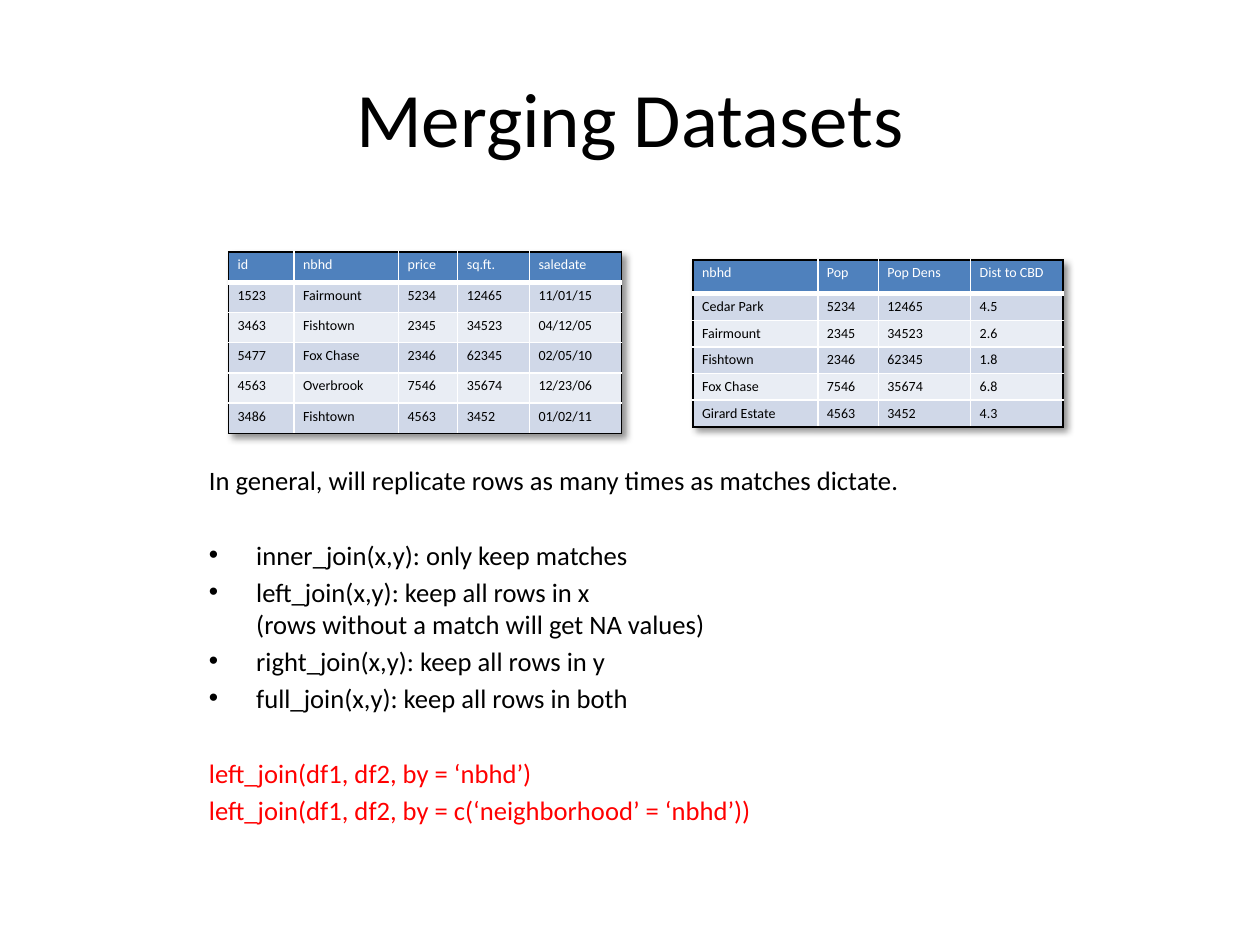
from dataclasses import dataclass

import lxml.etree
import pptx
import pptx.dml.color
import pptx.enum.text
import pptx.oxml.ns
import pptx.util

Pt = pptx.util.Pt
Align = pptx.enum.text.PP_ALIGN
Anchor = pptx.enum.text.MSO_ANCHOR


@dataclass(frozen=True)
class Theme:
    font: str = "Calibri"
    title_size: float = 44
    body_size: float = 15.2
    table_size: float = 8
    black: str = "000000"
    white: str = "FFFFFF"
    code: str = "FF0000"
    header: str = "4F81BD"
    bands: tuple[str, str] = ("D0D8E8", "E9EDF4")


@dataclass(frozen=True)
class Dataset:
    left: float
    top: float
    columns: tuple[float, ...]
    header_height: float
    row_height: float
    rows: tuple[str, ...]


@dataclass(frozen=True)
class Line:
    text: str
    bullet: bool = False
    color: str = "000000"
    before: float = 3


THEME = Theme()
GAP = 24.5
INDENT = 27

DATASETS = (
    Dataset(130.6, 144, (37.4, 59.8, 33.8, 41, 52.6), 17.28, 17.28, (
        "id|nbhd|price|sq.ft.|saledate",
        "1523|Fairmount|5234|12465|11/01/15",
        "3463|Fishtown|2345|34523|04/12/05",
        "5477|Fox Chase|2346|62345|02/05/10",
        "4563|Overbrook|7546|35674|12/23/06",
        "3486|Fishtown|4563|3452|01/02/11")),
    Dataset(396, 148.5, (71.3, 34.6, 52.8, 52.8), 19.4, 15.2, (
        "nbhd|Pop|Pop Dens|Dist to CBD",
        "Cedar Park|5234|12465|4.5",
        "Fairmount|2345|34523|2.6",
        "Fishtown|2346|62345|1.8",
        "Fox Chase|7546|35674|6.8",
        "Girard Estate|4563|3452|4.3")),
)

LINES = (
    Line("In general, will replicate rows as many times as matches dictate.", before=0),
    Line("inner_join(x,y): only keep matches", bullet=True, before=GAP),
    Line("left_join(x,y): keep all rows in x\v(rows without a match will get NA values)",
         bullet=True),
    Line("right_join(x,y): keep all rows in y", bullet=True),
    Line("full_join(x,y): keep all rows in both", bullet=True),
    Line("left_join(df1, df2, by = ‘nbhd’)", color=THEME.code, before=GAP),
    Line("left_join(df1, df2, by = c(‘neighborhood’ = ‘nbhd’))", color=THEME.code),
)


def add_element(parent, tag: str, **attributes):
    return lxml.etree.SubElement(parent, pptx.oxml.ns.qn(tag), attributes)


def style_paragraph(paragraph, size: float, color: str) -> None:
    font = paragraph.font
    font.name = THEME.font
    font.size = Pt(size)
    font.bold = False
    font.color.rgb = pptx.dml.color.RGBColor.from_string(color)


def add_box(page, left: float, top: float, width: float, height: float, anchor):
    box = page.shapes.add_textbox(Pt(left), Pt(top), Pt(width), Pt(height))
    box.text_frame.word_wrap = True
    box.text_frame.vertical_anchor = anchor
    return box.text_frame


def add_border(cell, side: str, color: str, width: float) -> None:
    border = add_element(cell._tc.get_or_add_tcPr(), f"a:ln{side}", w=str(Pt(width)))
    fill = add_element(border, "a:solidFill")
    add_element(fill, "a:srgbClr", val=color)


def add_shadow(table) -> None:
    properties = table._tbl.tblPr
    effects = add_element(properties, "a:effectLst")
    properties.insert(0, effects)
    shadow = add_element(effects, "a:outerShdw", blurRad=str(Pt(4)), dist=str(Pt(3)),
                         dir="2700000", algn="tl", rotWithShape="0")
    color = add_element(shadow, "a:srgbClr", val=THEME.black)
    add_element(color, "a:alpha", val="43000")


def style_cell(cell, row: int, column: int, last_row: int, last_column: int) -> None:
    header = row == 0
    cell.margin_left = cell.margin_right = Pt(5.2)
    cell.margin_top = cell.margin_bottom = Pt(2.6)
    style_paragraph(cell.text_frame.paragraphs[0], THEME.table_size,
                    THEME.white if header else THEME.black)
    outer_sides = {"L": column == 0, "R": column == last_column,
                   "T": header, "B": row == last_row}
    for side, outer in outer_sides.items():
        add_border(cell, side, THEME.black if outer else THEME.white,
                   3 if header and side == "B" else 1)
    fill = THEME.header if header else THEME.bands[(row - 1) % 2]
    cell.fill.solid()
    cell.fill.fore_color.rgb = pptx.dml.color.RGBColor.from_string(fill)


def add_dataset(page, data: Dataset) -> None:
    heights = [data.header_height] + [data.row_height] * (len(data.rows) - 1)
    table = page.shapes.add_table(
        len(heights), len(data.columns), Pt(data.left), Pt(data.top),
        Pt(sum(data.columns)), Pt(sum(heights))).table
    table.horz_banding = False
    add_shadow(table)
    for column, width in enumerate(data.columns):
        table.columns[column].width = Pt(width)
    for row, (height, values) in enumerate(zip(heights, data.rows)):
        table.rows[row].height = Pt(height)
        for column, value in enumerate(values.split("|")):
            cell = table.cell(row, column)
            cell.text = value
            style_cell(cell, row, column, len(heights) - 1, len(data.columns) - 1)


def add_line(paragraph, line: Line) -> None:
    paragraph.text = line.text
    paragraph.space_before = Pt(line.before)
    if line.bullet:
        properties = paragraph._p.get_or_add_pPr()
        properties.set("marL", str(Pt(INDENT)))
        properties.set("indent", str(-Pt(INDENT)))
        add_element(properties, "a:buFont", typeface="Arial")
        add_element(properties, "a:buChar", char="•")
    style_paragraph(paragraph, THEME.body_size, line.color)


deck = pptx.Presentation()
deck.slide_width, deck.slide_height = Pt(720), Pt(540)
page = deck.slides.add_slide(deck.slide_layouts[6])

# Explanation of the joins
body = add_box(page, 112.3, 261.4, 486, 195, Anchor.TOP)
for index, line in enumerate(LINES):
    add_line(body.add_paragraph() if index else body.paragraphs[0], line)

# Title
title = add_box(page, 36, 21.6, 648, 90, Anchor.MIDDLE).paragraphs[0]
title.text = "Merging Datasets"
title.alignment = Align.CENTER
style_paragraph(title, THEME.title_size, THEME.black)

# The two datasets to merge
for dataset in DATASETS:
    add_dataset(page, dataset)

deck.save("out.pptx")
